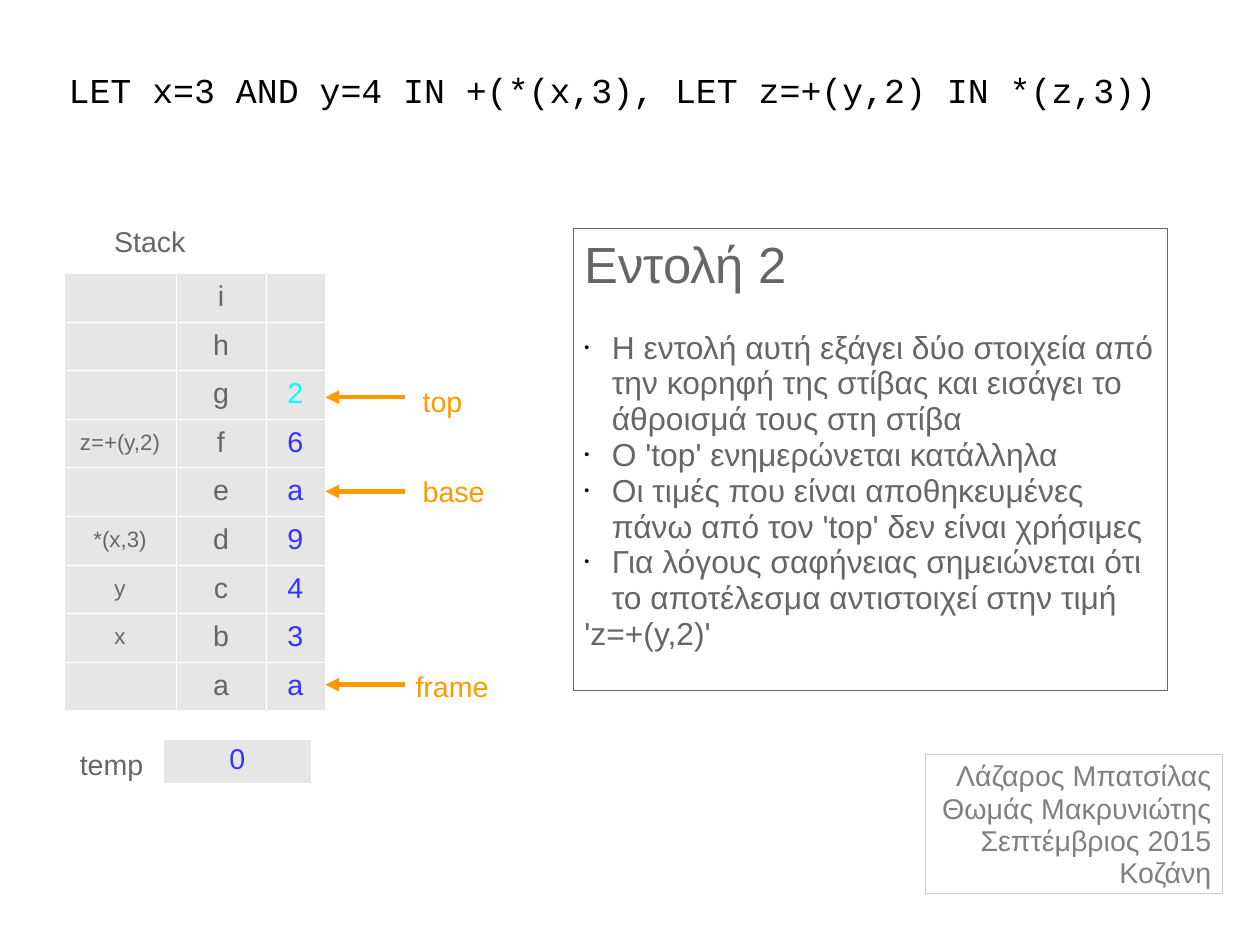
import pptx
import pptx.dml.color
import pptx.enum.shapes
import pptx.enum.text
import pptx.oxml
import pptx.oxml.ns
import pptx.util

Pt = pptx.util.Pt
RGBColor = pptx.dml.color.RGBColor
ALIGN = pptx.enum.text.PP_ALIGN
ANCHOR = pptx.enum.text.MSO_ANCHOR

BLACK = RGBColor(0x00, 0x00, 0x00)
GREY = RGBColor(0x66, 0x66, 0x66)
CREDIT_GREY = RGBColor(0x80, 0x80, 0x80)
CREDIT_LINE = RGBColor(0xCC, 0xCC, 0xCC)
CELL_GREY = RGBColor(0xE6, 0xE6, 0xE6)
BLUE = RGBColor(0x33, 0x33, 0xFF)
CYAN = RGBColor(0x00, 0xFF, 0xFF)
ORANGE = RGBColor(0xFF, 0x99, 0x00)

STACK = [
    ("", "i", ""),
    ("", "h", ""),
    ("", "g", "2"),
    ("z=+(y,2)", "f", "6"),
    ("", "e", "a"),
    ("*(x,3)", "d", "9"),
    ("y", "c", "4"),
    ("x", "b", "3"),
    ("", "a", "a"),
]
ABOVE_TOP = 2
POINTERS = [
    ("top", 250.2, 259.2, 239),
    ("base", 309.6, 259.2, 295.9),
    ("frame", 431.3, 254.7, 419),
]
INSTRUCTION = "Εντολή 2"
NOTES = [
    "Η εντολή αυτή εξάγει δύο στοιχεία από την κορηφή της στίβας και εισάγει το άθροισμά τους στη στίβα",
    "Ο 'top' ενημερώνεται κατάλληλα",
    "Οι τιμές που είναι αποθηκευμένες πάνω από τον 'top' δεν είναι χρήσιμες",
    "Για λόγους σαφήνειας σημειώνεται ότι το αποτέλεσμα αντιστοιχεί στην τιμή",
]
RESULT = "'z=+(y,2)'"
CREDITS = ["Λάζαρος Μπατσίλας", "Θωμάς Μακρυνιώτης", "Σεπτέμβριος 2015", "Κοζάνη"]


def xml(tag, content):
    namespace = pptx.oxml.ns.nsdecls("a")
    return pptx.oxml.parse_xml(f"<a:{tag} {namespace} {content}")


def format_para(para, size, color, align=ALIGN.LEFT, font="Arial", spacing=0.94):
    para.alignment = align
    para.line_spacing = spacing
    for span in para.runs:
        span.font.name = font
        span.font.size = Pt(size)
        span.font.color.rgb = color


def set_frame(frame, top_inset, side_inset=7.2, bottom_inset=3.6, anchor=ANCHOR.TOP):
    frame.word_wrap = True
    frame.auto_size = pptx.enum.text.MSO_AUTO_SIZE.NONE
    frame.vertical_anchor = anchor
    frame.margin_left = frame.margin_right = Pt(side_inset)
    frame.margin_top = Pt(top_inset)
    frame.margin_bottom = Pt(bottom_inset)


def add_title(slide, text):
    title = slide.shapes.title
    title.left, title.top, title.width, title.height = Pt(28.8), Pt(28.1), Pt(714.2), Pt(58.3)
    title.text_frame.text = text
    set_frame(title.text_frame, 0.7, 0, 0, ANCHOR.MIDDLE)
    format_para(title.text_frame.paragraphs[0], 22, BLACK, ALIGN.CENTER, "Courier New", 0.97)


def add_label(slide, text, left, top, width, color):
    label = slide.shapes.add_textbox(Pt(left), Pt(top), Pt(width), Pt(27.4))
    label.text_frame.text = text
    set_frame(label.text_frame, 4.3)
    format_para(label.text_frame.paragraphs[0], 18, color)


def add_frame_box(slide, lines, left, top, width, height, line_color, top_inset):
    box = slide.shapes.add_shape(
        pptx.enum.shapes.MSO_SHAPE.RECTANGLE, Pt(left), Pt(top), Pt(width), Pt(height))
    box.shadow.inherit = False
    box.fill.background()
    box.line.color.rgb = line_color
    box.line.width = Pt(0.75)
    box.text_frame.text = "\n".join(lines)
    set_frame(box.text_frame, top_inset)
    return box.text_frame.paragraphs


def add_bullet(para):
    properties = para._p.get_or_add_pPr()
    properties.append(xml("buClr", f'><a:srgbClr val="{BLACK}"/></a:buClr>'))
    properties.append(xml("buSzPct", 'val="45000"/>'))
    properties.append(xml("buFont", 'typeface="Arial"/>'))
    properties.append(xml("buChar", 'char="•"/>'))


def add_instruction(slide):
    heading, *body = add_frame_box(
        slide, [INSTRUCTION, *NOTES, RESULT], 361.1, 144.2, 374.4, 291, GREY, 5.8)
    format_para(heading, 32, GREY)
    heading.space_after = Pt(22)
    for para in body:
        format_para(para, 20, GREY)
        properties = para._p.get_or_add_pPr()
        properties.set("marL", str(Pt(17.3)))
        properties.set("indent", str(-Pt(17.3)))
    for para in body[:len(NOTES)]:
        add_bullet(para)


def add_credits(slide):
    for para in add_frame_box(slide, CREDITS, 583, 475.2, 187.2, 87.6, CREDIT_LINE, 4.3):
        format_para(para, 18, CREDIT_GREY, ALIGN.RIGHT)


def format_cell(cell, text, size, color, anchor):
    cell.text_frame.text = text
    cell.vertical_anchor = anchor
    format_para(cell.text_frame.paragraphs[0], size, color, ALIGN.CENTER)
    for side in ("lnL", "lnR", "lnT", "lnB"):
        cell._tc.get_or_add_tcPr().append(xml(
            side, f'w="{Pt(0.06)}"><a:solidFill><a:srgbClr val="FFFFFF"/></a:solidFill></a:{side}>'))
    cell.fill.solid()
    cell.fill.fore_color.rgb = CELL_GREY


def add_grid(slide, rows, left, top, widths, row_height):
    grid = slide.shapes.add_table(
        len(rows), len(widths), Pt(left), Pt(top), Pt(sum(widths)), Pt(row_height * len(rows))).table
    grid.first_row = grid.horz_banding = False
    for column, width in zip(grid.columns, widths):
        column.width = Pt(width)
    for row in grid.rows:
        row.height = Pt(row_height)
    return grid


def add_stack(slide):
    grid = add_grid(slide, STACK, 40.3, 172, [70.6, 56.6, 37.2], 30.64)
    for row, texts in enumerate(STACK):
        value_color = CYAN if row == ABOVE_TOP else BLUE
        styles = [(14, GREY), (18, GREY), (18, value_color)]
        for column, (text, (size, color)) in enumerate(zip(texts, styles)):
            format_cell(grid.cell(row, column), text, size, color, ANCHOR.MIDDLE)


def add_temp(slide):
    add_label(slide, "temp", 43.2, 468, 86.4, GREY)
    grid = add_grid(slide, ["0"], 103, 465.8, [92.9], 27.6)
    format_cell(grid.cell(0, 0), "0", 18, BLUE, ANCHOR.TOP)


def add_pointer(slide, name, arrow_y, label_left, label_top):
    arrow = slide.shapes.add_connector(
        pptx.enum.shapes.MSO_CONNECTOR.STRAIGHT, Pt(205), Pt(arrow_y), Pt(255.4), Pt(arrow_y))
    arrow.line.color.rgb = ORANGE
    arrow.line.width = Pt(2.89)
    arrow.line._get_or_add_ln().append(xml("headEnd", 'type="triangle"/>'))
    arrow._element.spPr.append(xml("effectLst", "/>"))
    add_label(slide, name, label_left, label_top, 172.8, ORANGE)


def main():
    deck = pptx.Presentation()
    deck.slide_width, deck.slide_height = Pt(793.75), Pt(595.25)
    page = deck.slides.add_slide(deck.slide_layouts[5])
    add_title(page, "LET x=3 AND y=4 IN +(*(x,3), LET z=+(y,2) IN *(z,3))")
    add_label(page, "Stack", 64.8, 138.2, 86.4, GREY)
    add_stack(page)
    add_temp(page)
    add_credits(page)
    for pointer in POINTERS:
        add_pointer(page, *pointer)
    add_instruction(page)
    deck.save("out.pptx")


if __name__ == "__main__":
    main()
